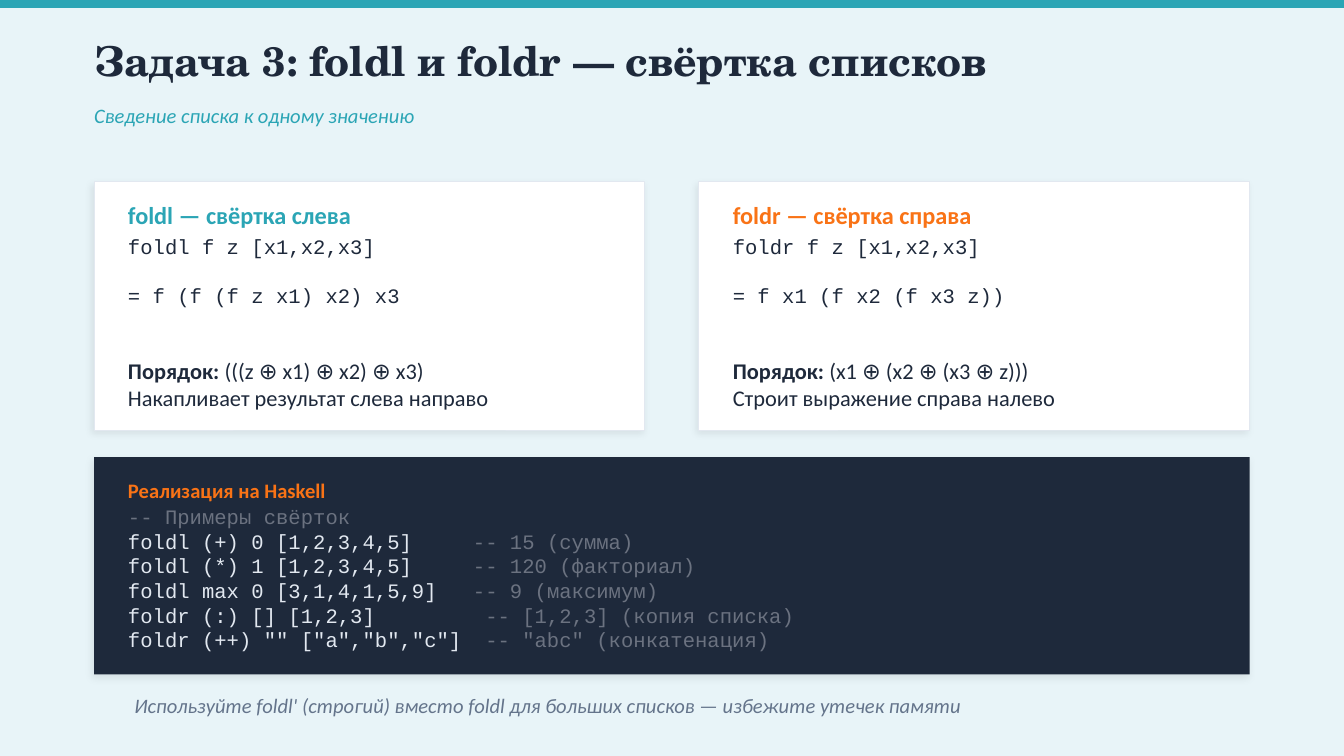
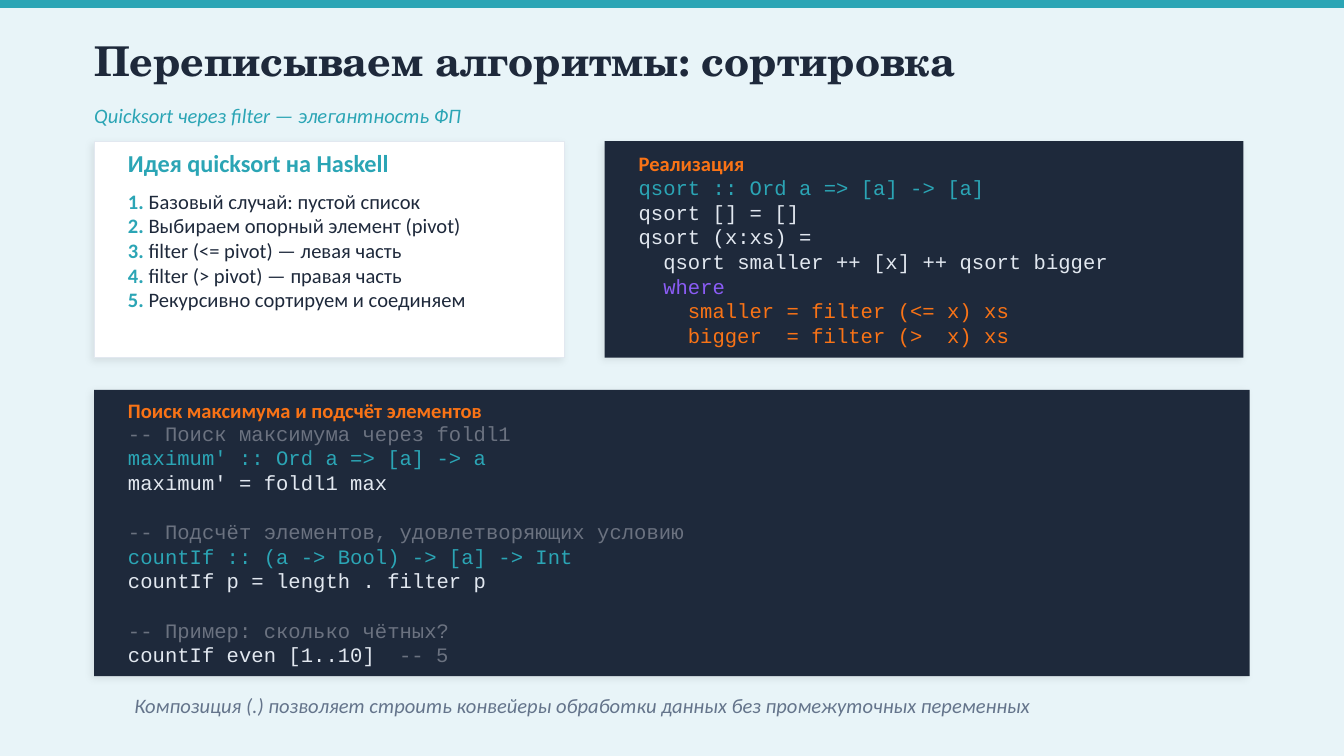
from dataclasses import dataclass

from lxml import etree
from pptx import Presentation, util as u
from pptx.dml.color import RGBColor
from pptx.enum import shapes, text
from pptx.oxml import ns


@dataclass(frozen=True)
class Theme:
    """Colours, fonts and type sizes shared by the slides."""
    page: str = "E8F4F8"
    teal: str = "2BA5B5"
    orange: str = "F97316"
    violet: str = "8B5CF6"
    ink: str = "1E293B"
    white: str = "FFFFFF"
    border: str = "E2E8F0"
    code: str = "E2E8F0"
    comment: str = "6B7280"
    muted: str = "64748B"
    title_font: str = "TeX Gyre Schola"
    body_font: str = "Calibri"
    code_font: str = "Courier New"
    title_size: float = 22
    heading_size: float = 13
    note_size: float = 12
    small_size: float = 11
    leading: float = 13.2
    character: float = 6.6


THEME = Theme()


@dataclass(frozen=True)
class Box:
    """A rectangle measured in centimetres."""
    left: float
    top: float
    width: float
    height: float

    def lengths(self):
        """Return the four sides as slide lengths."""
        return [u.Cm(side) for side in (self.left, self.top, self.width, self.height)]

    def inner(self, top, height):
        """Return a padded full-width strip inside the box."""
        return Box(self.left + PADDING, self.top + top, self.width - 2 * PADDING, height)


@dataclass(frozen=True)
class Line:
    """A paragraph made of (text, colour, bold) runs."""
    runs: tuple
    font: str = THEME.body_font
    size: float = THEME.small_size
    italic: bool = False
    leading: float = 0
    blank_before: int = 0
    indent: int = 0
    tab: int = 0


PAGE = Box(0, 0, 25.4, 14.29)
MARGIN = 1.78
CONTENT_WIDTH = PAGE.width - 2 * MARGIN
PADDING = 0.64
HEADING_HEIGHT = 0.76


def rgb(value):
    """Turn a hex string into a colour."""
    return RGBColor.from_string(value)


def plain(content, colour, bold=False, **options):
    """Make a line with a single run."""
    return Line(((content, colour, bold),), **options)


def code(content, colour=THEME.code, comment="", **options):
    """Make a line of code, with an optional comment at a tab stop."""
    runs = ((content, colour, False),)
    if comment:
        runs += (("\t" + comment, THEME.comment, False),)
    return Line(runs, THEME.code_font, leading=THEME.leading, **options)


def remark(content, **options):
    """Make a line holding only a code comment."""
    return code(content, THEME.comment, **options)


def style_paragraph(paragraph, line):
    """Apply spacing, indent, tab stop and shared font to a paragraph."""
    paragraph.font.name = line.font
    paragraph.font.size = u.Pt(line.size)
    paragraph.font.italic = line.italic
    if line.leading:
        paragraph.line_spacing = u.Pt(line.leading)
    if line.blank_before:
        paragraph.space_before = u.Pt(line.blank_before * THEME.leading)
    properties = paragraph._p.get_or_add_pPr()
    if line.indent:
        properties.set("marL", str(u.Pt(line.indent * THEME.character)))
        properties.set("indent", "0")
    if line.tab:
        stops = etree.Element(ns.qn("a:tabLst"))
        position = str(u.Pt(line.tab * THEME.character))
        etree.SubElement(stops, ns.qn("a:tab"), pos=position, algn="l")
        properties.find(ns.qn("a:defRPr")).addprevious(stops)


def add_text(slide, box, lines, anchor=text.MSO_ANCHOR.MIDDLE):
    """Write lines into a text box without insets."""
    frame = slide.shapes.add_textbox(*box.lengths()).text_frame
    frame.word_wrap = True
    frame.vertical_anchor = anchor
    frame.margin_left = frame.margin_right = frame.margin_top = frame.margin_bottom = 0
    for index, line in enumerate(lines):
        paragraph = frame.add_paragraph() if index else frame.paragraphs[0]
        style_paragraph(paragraph, line)
        for content, colour, bold in line.runs:
            run = paragraph.add_run()
            run.text = content
            font = run.font if len(line.runs) > 1 else paragraph.font
            font.bold = bold
            font.color.rgb = rgb(colour)


def add_panel(slide, box, fill, border=None, shadow=True):
    """Draw a filled rectangle with an optional border and soft shadow."""
    shape = slide.shapes.add_shape(shapes.MSO_SHAPE.RECTANGLE, *box.lengths())
    shape.fill.solid()
    shape.fill.fore_color.rgb = rgb(fill)
    if border:
        shape.line.color.rgb = rgb(border)
        shape.line.width = u.Pt(0.5)
    else:
        shape.line.fill.background()
    shape.shadow.inherit = False
    if shadow:
        effects = shape._element.spPr.find(ns.qn("a:effectLst"))
        outer = etree.SubElement(effects, ns.qn("a:outerShdw"), blurRad=str(u.Pt(4)),
                                 dist=str(u.Pt(2)), dir=str(135 * 60000),
                                 algn="bl", rotWithShape="0")
        colour = etree.SubElement(outer, ns.qn("a:srgbClr"), val="000000")
        etree.SubElement(colour, ns.qn("a:alpha"), val="8000")


def add_card(slide, box, heading, colour, lines, heading_top, body_top, body_height):
    """Draw a white card with a heading and centred body."""
    add_panel(slide, box, THEME.white, THEME.border)
    add_text(slide, box.inner(heading_top, HEADING_HEIGHT),
             [plain(heading, colour, True, size=THEME.heading_size)])
    add_text(slide, box.inner(body_top, body_height), lines)


def add_code_panel(slide, box, heading, lines, heading_top, body_top):
    """Draw a dark panel with a heading and code below it."""
    add_panel(slide, box, THEME.ink)
    add_text(slide, box.inner(heading_top, HEADING_HEIGHT),
             [plain(heading, THEME.orange, True)])
    add_text(slide, box.inner(body_top, box.height - body_top), lines, text.MSO_ANCHOR.TOP)


def add_base_slide(presentation, title, subtitle, footer):
    """Add a slide with background, top band, titles and footer."""
    slide = presentation.slides.add_slide(presentation.slide_layouts[6])
    slide.background.fill.solid()
    slide.background.fill.fore_color.rgb = rgb(THEME.page)
    add_panel(slide, Box(0, 0, PAGE.width, 0.15), THEME.teal, shadow=False)
    add_text(slide, Box(MARGIN, 0.51, CONTENT_WIDTH, 1.27),
             [plain(title, THEME.ink, True, font=THEME.title_font, size=THEME.title_size)])
    add_text(slide, Box(MARGIN, 1.83, CONTENT_WIDTH, 0.71),
             [plain(subtitle, THEME.teal, italic=True)])
    add_text(slide, Box(2.54, 12.95, 21.08, 0.76),
             [plain(footer, THEME.muted, italic=True)])
    return slide


def add_fold_cards(slide, box, gap, folds):
    """Place the fold definitions side by side in equal cards."""
    width = (box.width - gap * (len(folds) - 1)) / len(folds)
    for index, (heading, colour, call, expansion, order, effect) in enumerate(folds):
        lines = [
            code(call, THEME.ink),
            code(expansion, THEME.ink, blank_before=1),
            Line((("Порядок: ", THEME.ink, True), (order, THEME.ink, False)),
                 size=THEME.note_size, blank_before=2),
            plain(effect, THEME.ink, size=THEME.note_size),
        ]
        card = Box(box.left + index * (width + gap), box.top, width, box.height)
        add_card(slide, card, heading, colour, lines, 0.25, 1.14, 3.05)


def build_fold_slide(presentation):
    """Build the slide about list folds."""
    slide = add_base_slide(
        presentation, "Задача 3: foldl и foldr — свёртка списков",
        "Сведение списка к одному значению",
        "Используйте foldl' (строгий) вместо foldl для больших списков — избежите утечек памяти")
    folds = [
        ("foldl — свёртка слева", THEME.teal, "foldl f z [x1,x2,x3]",
         "= f (f (f z x1) x2) x3", "(((z ⊕ x1) ⊕ x2) ⊕ x3)",
         "Накапливает результат слева направо"),
        ("foldr — свёртка справа", THEME.orange, "foldr f z [x1,x2,x3]",
         "= f x1 (f x2 (f x3 z))", "(x1 ⊕ (x2 ⊕ (x3 ⊕ z)))",
         "Строит выражение справа налево"),
    ]
    add_fold_cards(slide, Box(MARGIN, 3.43, CONTENT_WIDTH, 4.7), 1.02, folds)
    examples = [
        ("foldl (+) 0 [1,2,3,4,5]", "-- 15 (сумма)", 28),
        ("foldl (*) 1 [1,2,3,4,5]", "-- 120 (факториал)", 28),
        ("foldl max 0 [3,1,4,1,5,9]", "-- 9 (максимум)", 28),
        ("foldr (:) [] [1,2,3]", "-- [1,2,3] (копия списка)", 29),
        ('foldr (++) "" ["a","b","c"]', '-- "abc" (конкатенация)', 29),
    ]
    lines = [remark("-- Примеры свёрток")]
    lines += [code(call, comment=result, tab=column) for call, result, column in examples]
    add_code_panel(slide, Box(MARGIN, 8.64, CONTENT_WIDTH, 4.11),
                   "Реализация на Haskell", lines, 0.25, 0.89)


def build_sort_slide(presentation):
    """Build the slide about quicksort and counting."""
    slide = add_base_slide(
        presentation, "Переписываем алгоритмы: сортировка",
        "Quicksort через filter — элегантность ФП",
        "Композиция (.) позволяет строить конвейеры обработки данных без промежуточных переменных")
    steps = [
        "Базовый случай: пустой список",
        "Выбираем опорный элемент (pivot)",
        "filter (<= pivot) — левая часть",
        "filter (> pivot) — правая часть",
        "Рекурсивно сортируем и соединяем",
    ]
    step_lines = [
        Line(((f"{number}. ", THEME.teal, True), (step, THEME.ink, False)),
             leading=THEME.leading)
        for number, step in enumerate(steps, 1)
    ]
    add_card(slide, Box(MARGIN, 2.67, 8.89, 4.09), "Идея quicksort на Haskell",
             THEME.teal, step_lines, 0.03, 0.41, 3.3)
    add_code_panel(slide, Box(11.43, 2.67, 12.07, 4.09), "Реализация", [
        code("qsort :: Ord a => [a] -> [a]", THEME.teal),
        code("qsort [] = []"),
        code("qsort (x:xs) ="),
        code("qsort smaller ++ [x] ++ qsort bigger", indent=2),
        code("where", THEME.violet, indent=2),
        code("smaller = filter (<= x) xs", THEME.orange, indent=4),
        code("bigger  = filter (>  x) xs", THEME.orange, indent=4),
    ], 0.03, 0.64)
    add_code_panel(slide, Box(MARGIN, 7.37, CONTENT_WIDTH, 5.41),
                   "Поиск максимума и подсчёт элементов", [
        remark("-- Поиск максимума через foldl1"),
        code("maximum' :: Ord a => [a] -> a", THEME.teal),
        code("maximum' = foldl1 max"),
        remark("-- Подсчёт элементов, удовлетворяющих условию", blank_before=1),
        code("countIf :: (a -> Bool) -> [a] -> Int", THEME.teal),
        code("countIf p = length . filter p"),
        remark("-- Пример: сколько чётных?", blank_before=1),
        code("countIf even [1..10]", comment="-- 5", tab=22),
    ], 0, 0.58)


def main():
    """Build and save the presentation."""
    presentation = Presentation()
    presentation.slide_width = u.Cm(PAGE.width)
    presentation.slide_height = u.Cm(PAGE.height)
    build_fold_slide(presentation)
    build_sort_slide(presentation)
    presentation.save("out.pptx")


if __name__ == "__main__":
    main()
